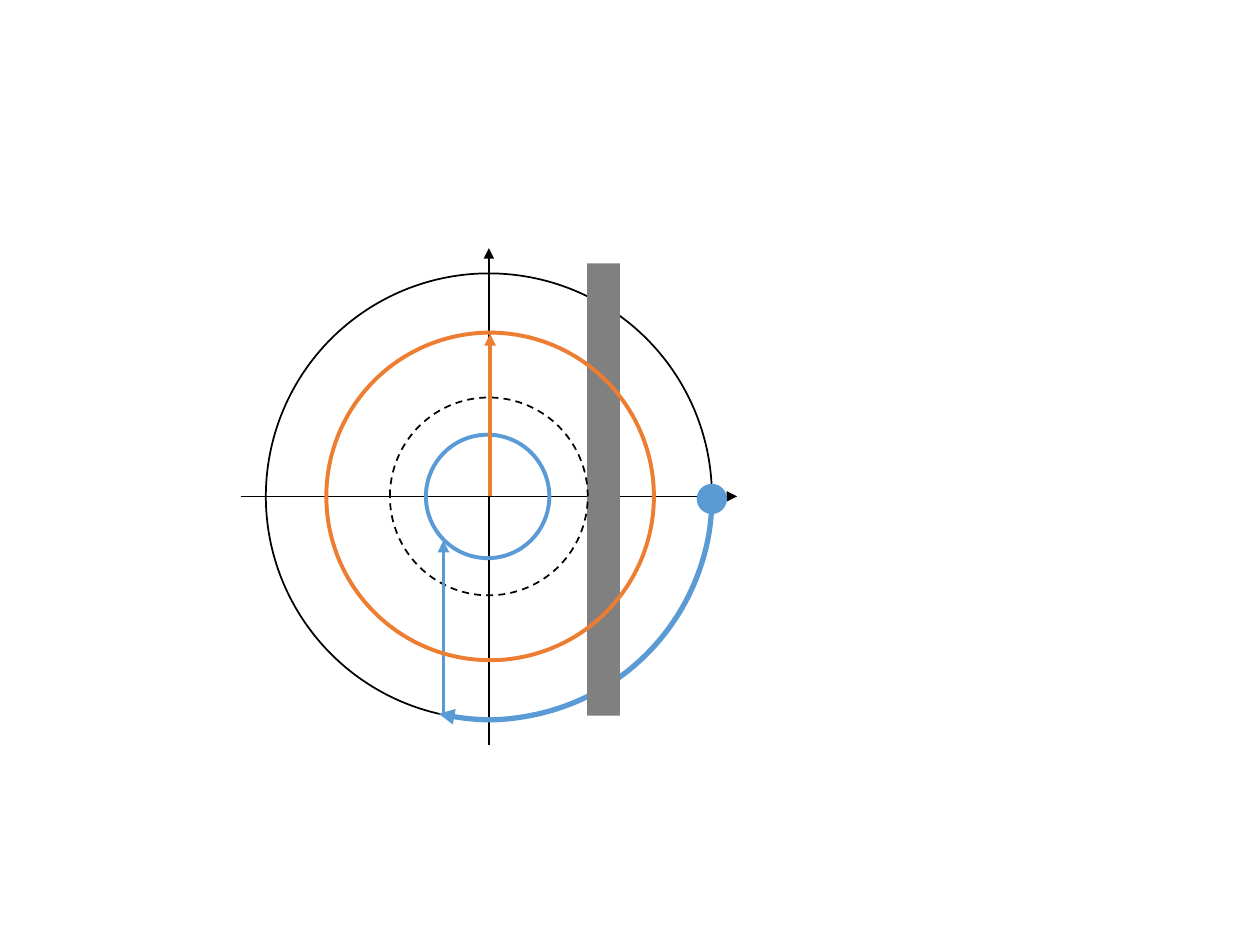
from lxml import etree
from pptx import Presentation
from pptx.dml.color import RGBColor
from pptx.enum import dml, shapes
from pptx.oxml import ns
from pptx.util import Inches, Pt

COLORS = {"black": "000000", "blue": "5B9BD5", "orange": "ED7D31", "gray": "808080"}
CENTER_X, CENTER_Y = 3.88, 3.94
OUTER_RADIUS = 1.77
AXIS_REACH = 1.97


def color(name):
    return RGBColor.from_string(COLORS[name])


def style_line(shape, name, width, dash=None, **ends):
    """Set the outline; ends maps headEnd / tailEnd to an arrowhead type."""
    shape.line.color.rgb = color(name)
    shape.line.width = Pt(width)
    if dash:
        shape.line.dash_style = dash
    outline = shape.line._get_or_add_ln()
    for tag, kind in ends.items():
        etree.SubElement(outline, ns.qn("a:" + tag)).set("type", kind)


def add_filled(slide, kind, left, top, width, height, name):
    shape = slide.shapes.add_shape(
        kind, Inches(left), Inches(top), Inches(width), Inches(height))
    shape.shadow.inherit = False
    shape.fill.solid()
    shape.fill.fore_color.rgb = color(name)
    shape.line.fill.background()


def add_round(slide, radius, name, width, dash=None,
              kind=shapes.MSO_SHAPE.OVAL, center_x=CENTER_X, **ends):
    """Add an unfilled circle or arc around the centre."""
    shape = slide.shapes.add_shape(
        kind, Inches(center_x - radius), Inches(CENTER_Y - radius),
        Inches(2 * radius), Inches(2 * radius))
    shape.shadow.inherit = False
    shape.fill.background()
    style_line(shape, name, width, dash, **ends)
    return shape


def add_arrow(slide, start, end, name, width):
    arrow = slide.shapes.add_connector(
        shapes.MSO_CONNECTOR.STRAIGHT, *map(Inches, start + end))
    style_line(arrow, name, width, tailEnd="triangle")
    etree.SubElement(arrow._element.spPr, ns.qn("a:effectLst"))


def add_orbit_arc(slide):
    arc = add_round(slide, OUTER_RADIUS, "blue", 3, kind=shapes.MSO_SHAPE.ARC,
                    headEnd="oval", tailEnd="triangle")
    arc.rotation = 108.4
    # Angles are stored in 60000ths of a degree, adjustments in 100000ths
    for index, degrees in enumerate((253.2, 354.6)):
        arc.adjustments[index] = degrees * 0.6


def main():
    presentation = Presentation()
    presentation.slide_width, presentation.slide_height = Inches(10), Inches(7.5)
    slide = presentation.slides.add_slide(presentation.slide_layouts[6])

    # Outer circle and axes
    add_round(slide, OUTER_RADIUS, "black", 1).rotation = 38.7
    add_arrow(slide, (CENTER_X - AXIS_REACH, CENTER_Y),
              (CENTER_X + AXIS_REACH, CENTER_Y), "black", 1)
    add_arrow(slide, (CENTER_X, CENTER_Y + AXIS_REACH),
              (CENTER_X, CENTER_Y - AXIS_REACH), "black", 1)

    # Path along the outer circle, starting at the dot
    add_orbit_arc(slide)
    add_filled(slide, shapes.MSO_SHAPE.OVAL, 5.53, 3.84, 0.24, 0.24, "blue")

    # Wall touching the dashed circle
    add_filled(slide, shapes.MSO_SHAPE.RECTANGLE, 4.66, 2.09, 0.26, 3.59, "gray")
    add_round(slide, 0.785, "black", 1, dml.MSO_LINE.DASH)

    # Inner circles, each with its arrow
    add_arrow(slide, (3.52, 5.67), (3.52, 4.29), "blue", 2.25)
    add_round(slide, 0.49, "blue", 2.25, center_x=3.87)
    add_arrow(slide, (3.89, CENTER_Y), (3.89, 2.65), "orange", 2.25)
    add_round(slide, 1.3, "orange", 2.25, center_x=3.89)

    presentation.save("out.pptx")


if __name__ == "__main__":
    main()
